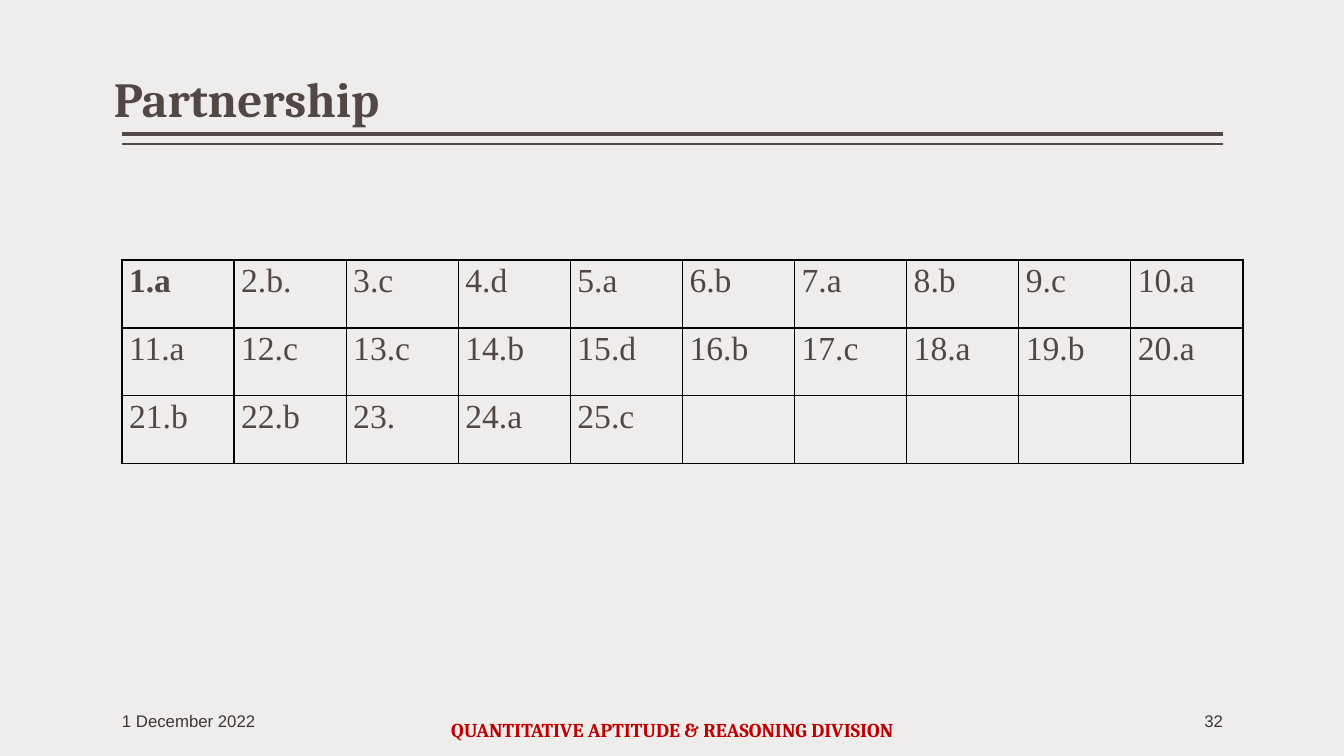
from pptx import Presentation
from pptx.dml.color import RGBColor
from pptx.enum.shapes import MSO_CONNECTOR
from pptx.enum.text import MSO_ANCHOR, PP_ALIGN
from pptx.oxml import parse_xml
from pptx.oxml.ns import nsdecls
from pptx.util import Inches, Pt

BROWN = "514843"
GREY = "3D3632"
LEFT, RIGHT = 1.21, 12.13
COLUMN, ROW = 1.112, 0.674


def color(value):
    return RGBColor.from_string(value)


def write(frame, text, font="Arial", size=12, ink=GREY, bold=False,
          align=PP_ALIGN.LEFT, spacing=1.0, after=0):
    para = frame.paragraphs[0]
    para.alignment = align
    para.line_spacing = spacing
    para.space_after = Pt(after)
    span = para.add_run()
    span.text = text
    span.font.name = font
    span.font.size = Pt(size)
    span.font.bold = bold
    span.font.color.rgb = color(ink)


deck = Presentation()
deck.slide_width, deck.slide_height = Inches(13.33), Inches(7.5)
page = deck.slides.add_slide(deck.slide_layouts[6])
page.background.fill.solid()
page.background.fill.fore_color.rgb = color("EEEDEC")

# Double rule under the title
for top, weight in ((1.33, 3), (1.43, 1)):
    rule = page.shapes.add_connector(
        MSO_CONNECTOR.STRAIGHT, Inches(RIGHT), Inches(top), Inches(LEFT), Inches(top))
    rule.line.color.rgb = color(BROWN)
    rule.line.width = Pt(weight)
    rule._element.spPr.append(parse_xml(f"<a:effectLst {nsdecls('a')}/>"))

# Title and footer texts
texts = [
    ("Partnership", (1.13, 0.02, 10.25, 1.3), MSO_ANCHOR.BOTTOM,
     dict(font="Cambria", size=35, ink=BROWN, bold=True, spacing=0.9)),
    ("QUANTITATIVE APTITUDE & REASONING DIVISION", (3.21, 7.04, 6.92, 0.4), MSO_ANCHOR.MIDDLE,
     dict(font="Cambria", size=14, ink="C00000", bold=True, align=PP_ALIGN.CENTER)),
    ("1 December 2022", (LEFT, 6.95, 2, 0.4), MSO_ANCHOR.MIDDLE, {}),
    ("32", (RIGHT - 2, 6.95, 2, 0.4), MSO_ANCHOR.MIDDLE, dict(align=PP_ALIGN.RIGHT)),
]
for text, place, anchor, look in texts:
    box = page.shapes.add_textbox(*map(Inches, place))
    frame = box.text_frame
    frame.word_wrap = True
    frame.vertical_anchor = anchor
    frame.margin_left = frame.margin_right = 0
    write(frame, text, **look)

# Answer key: ten answers to a row
answers = ("1.a 2.b. 3.c 4.d 5.a 6.b 7.a 8.b 9.c 10.a "
           "11.a 12.c 13.c 14.b 15.d 16.b 17.c 18.a 19.b 20.a "
           "21.b 22.b 23. 24.a 25.c").split()
table = page.shapes.add_table(
    3, 10, Inches(LEFT), Inches(2.58), Inches(10 * COLUMN), Inches(3 * ROW)).table
table.first_row = table.horz_banding = False
for column in table.columns:
    column.width = Inches(COLUMN)
for row in table.rows:
    row.height = Inches(ROW)

for index, cell in enumerate(table.iter_cells()):
    cell.margin_left = cell.margin_right = Inches(0.07)
    cell.margin_top = cell.margin_bottom = 0
    # Borders come before the fill in the cell properties
    properties = cell._tc.get_or_add_tcPr()
    for side in ("lnL", "lnR", "lnT", "lnB"):
        properties.append(parse_xml(
            f'<a:{side} {nsdecls("a")} w="{Pt(1)}"><a:solidFill>'
            f'<a:srgbClr val="000000"/></a:solidFill></a:{side}>'))
    cell.fill.background()
    if index < len(answers):
        write(cell.text_frame, answers[index], font="Times New Roman", size=24,
              ink=BROWN, bold=index == 0, spacing=1.07, after=8)

deck.save("out.pptx")
